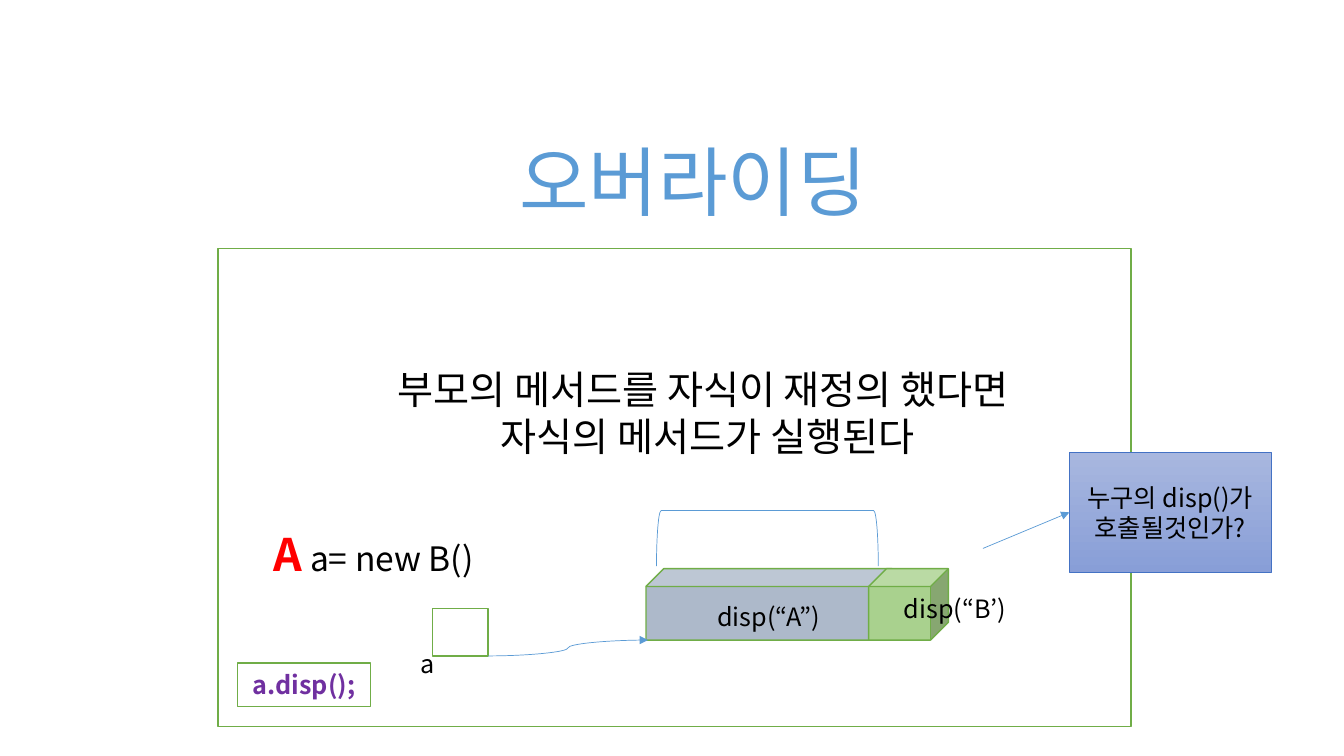
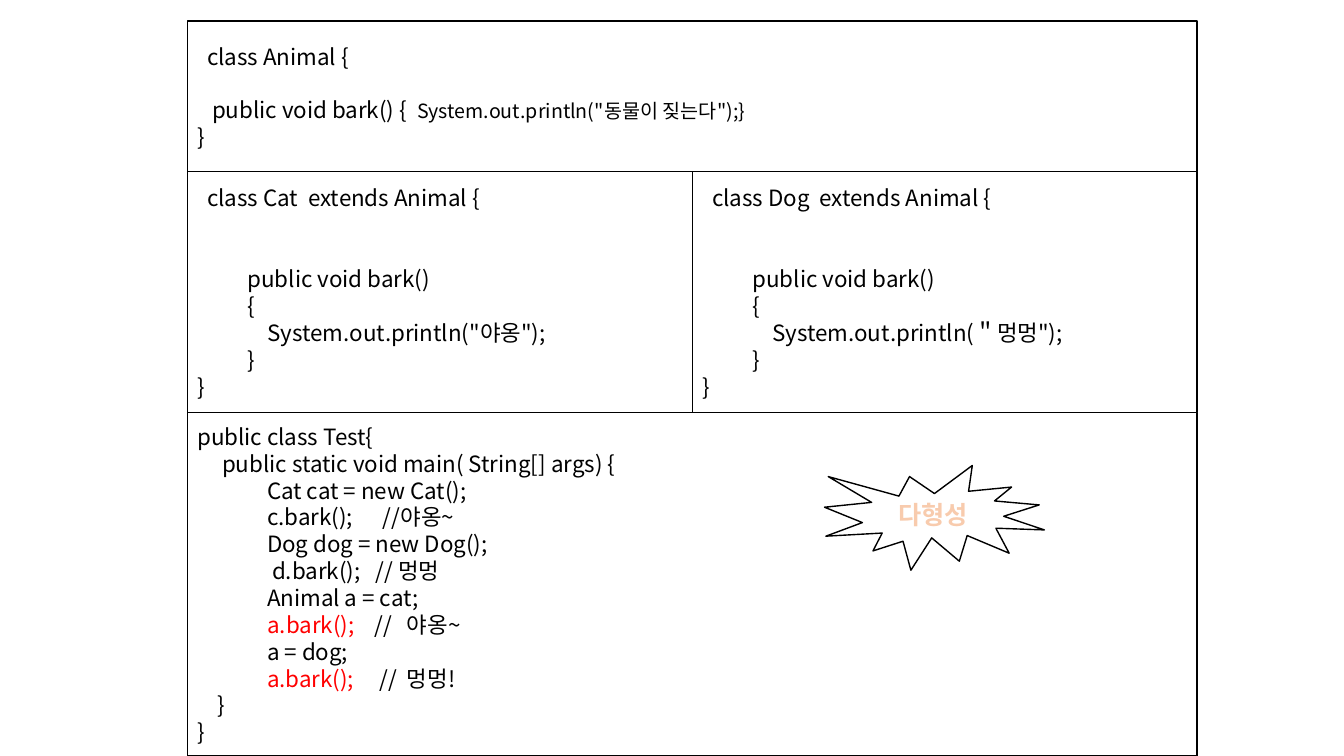
from dataclasses import dataclass
from typing import NamedTuple, Optional

from lxml.etree import SubElement
from pptx import Presentation
from pptx.dml.color import RGBColor
from pptx.enum.shapes import MSO_CONNECTOR as Connector, MSO_SHAPE as Preset
from pptx.enum.text import MSO_ANCHOR as Anchor, MSO_AUTO_SIZE as AutoSize, PP_ALIGN as Align
from pptx.oxml.ns import qn
from pptx.util import Cm, Pt


# Theme
@dataclass(frozen=True)
class Theme:
    font: str = "Noto Sans CJK KR"
    black: str = "000000"
    white: str = "FFFFFF"
    red: str = "FF0000"
    purple: str = "7030A0"
    green: str = "70AD47"
    light_green: str = "A9D18E"
    grey: str = "ADB9CA"
    blue: str = "5B9BD5"
    dark_blue: str = "4472C4"
    question_top: str = "A8B7DF"
    question_bottom: str = "889ED7"
    peach: str = "F8CBAD"
    orange: str = "ED7D31"
    title: float = 54
    keyword: float = 32
    statement: float = 28
    declaration: float = 24
    label: float = 18
    code: float = 16
    small_code: float = 14
    line: float = 1
    thin: float = 0.5


THEME = Theme()


class Place(NamedTuple):
    """Left, top, width and height in centimetres."""
    left: float
    top: float
    width: float
    height: float

    def lengths(self) -> list:
        return [Cm(value) for value in self]


class Span(NamedTuple):
    text: str
    color: Optional[str] = None
    size: Optional[float] = None
    bold: Optional[bool] = None


class Line(NamedTuple):
    """A paragraph; blank counts the empty line heights above it."""
    spans: list
    level: int = 0
    blank: int = 0


@dataclass(frozen=True)
class TextStyle:
    size: float
    color: str = THEME.black
    bold: bool = False
    align: Align = Align.LEFT


LABEL = TextStyle(THEME.label)
CENTRED_LABEL = TextStyle(THEME.label, align=Align.CENTER)
CODE = TextStyle(THEME.code)


@dataclass(frozen=True)
class Figure:
    preset: Preset
    place: Place
    fill: Optional[str] = THEME.white
    outline: str = THEME.green
    weight: float = THEME.line
    rotation: float = 0


def code(text: str, level: int = 0, blank: int = 0) -> Line:
    return Line([Span(text)], level, blank)


# Text
def style_paragraph(para, style: TextStyle) -> None:
    para.alignment = style.align
    font = para.font
    font.name, font.size, font.bold = THEME.font, Pt(style.size), style.bold
    font.color.rgb = RGBColor.from_string(style.color)
    defaults = para._p.pPr.find(qn("a:defRPr"))
    SubElement(defaults, qn("a:ea"), typeface=THEME.font)


def write(frame, lines: list, style: TextStyle, wrap: bool = True) -> None:
    frame.word_wrap = wrap
    for index, line in enumerate(lines):
        para = frame.add_paragraph() if index else frame.paragraphs[0]
        if line.level:
            para.level = line.level
            para._p.get_or_add_pPr().set("marL", str(Cm(1.27 * line.level)))
        if line.blank:
            para.space_before = Pt(line.blank * style.size * 1.2)
        style_paragraph(para, style)
        for span in line.spans:
            run = para.add_run()
            run.text = span.text
            if span.color:
                run.font.color.rgb = RGBColor.from_string(span.color)
            if span.size:
                run.font.size = Pt(span.size)
            if span.bold is not None:
                run.font.bold = span.bold


def add_text(page, place: Place, lines: list, style: TextStyle, wrap: bool = True) -> None:
    box = page.shapes.add_textbox(*place.lengths())
    write(box.text_frame, lines, style, wrap)


def outline_text(run, color: str, weight: float) -> None:
    properties = run.font._element if hasattr(run.font, "_element") else run._r.get_or_add_rPr()
    line = SubElement(properties, qn("a:ln"), w=str(Pt(weight)))
    SubElement(SubElement(line, qn("a:solidFill")), qn("a:srgbClr"), val=color)
    properties.insert(0, line)


# Shapes and lines
def add_figure(page, figure: Figure):
    shape = page.shapes.add_shape(figure.preset, *figure.place.lengths())
    shape.shadow.inherit = False
    shape.rotation = figure.rotation
    if figure.fill:
        shape.fill.solid()
        shape.fill.fore_color.rgb = RGBColor.from_string(figure.fill)
    else:
        shape.fill.background()
    shape.line.color.rgb = RGBColor.from_string(figure.outline)
    shape.line.width = Pt(figure.weight)
    return shape


def add_arrow(page, kind: Connector, start: tuple, end: tuple):
    arrow = page.shapes.add_connector(kind, *[Cm(value) for value in start + end])
    arrow.line.color.rgb = RGBColor.from_string(THEME.blue)
    arrow.line.width = Pt(THEME.thin)
    SubElement(arrow.line._get_or_add_ln(), qn("a:tailEnd"), type="triangle")
    SubElement(arrow._element.spPr, qn("a:effectLst"))
    return arrow


# Slide 1: overriding
def build_overriding(deck) -> None:
    page = deck.slides.add_slide(deck.slide_layouts[5])
    title = page.shapes.title
    title.left, title.top, title.width, title.height = Place(12.4, 3.25, 10.13, 2.57).lengths()
    title.text_frame.auto_size = AutoSize.NONE
    title.text_frame.vertical_anchor = Anchor.MIDDLE
    write(title.text_frame, [code("오버라이딩")],
          TextStyle(THEME.title, THEME.blue, align=Align.CENTER), wrap=False)

    # Frame, object memory and variable
    for figure in (
        Figure(Preset.RECTANGLE, Place(5.49, 6.27, 23.01, 12.04)),
        Figure(Preset.CUBE, Place(16.28, 14.33, 6.2, 1.8), THEME.grey),
        Figure(Preset.CUBE, Place(21.89, 14.33, 2.01, 1.8), THEME.light_green),
        Figure(Preset.RIGHT_BRACKET, Place(18.64, 10.77, 1.4, 5.59), None,
               THEME.blue, THEME.thin, 270),
        Figure(Preset.RECTANGLE, Place(10.9, 15.34, 1.4, 1.19)),
    ):
        add_figure(page, figure)
    add_arrow(page, Connector.CURVE, (12.3, 16.53), (16.33, 16.13))

    # Statement, declaration and labels
    add_text(page, Place(8.76, 9.09, 18.14, 3.84),
             [code("부모의 메서드를 자식이 재정의 했다면 "), code("자식의 메서드가 실행된다")],
             TextStyle(THEME.statement, align=Align.CENTER), wrap=False)
    add_text(page, Place(6.65, 13.16, 8.2, 1.63),
             [Line([Span("A", THEME.red, THEME.keyword, True), Span(" a= new B()")])],
             TextStyle(THEME.declaration))
    for text, place in (
        ("a", Place(10.34, 16.21, 1.4, 1.02)),
        ("disp(“A”)", Place(17.83, 15.04, 3.58, 1.02)),
        ("disp(“B’)", Place(22.53, 14.83, 3.58, 1.02)),
    ):
        add_text(page, place, [code(text)], LABEL)

    # Method call and question
    call = add_figure(page, Figure(Preset.RECTANGLE, Place(5.99, 16.71, 3.35, 1.09)))
    write(call.text_frame, [code("a.disp();")],
          TextStyle(THEME.label, THEME.purple, True, Align.CENTER))
    question = add_figure(page, Figure(Preset.RECTANGLE, Place(26.95, 11.4, 5.08, 3.02),
                                       outline=THEME.dark_blue, weight=THEME.thin))
    question.fill.gradient()
    question.fill.gradient_angle = 270
    for stop, color in zip(question.fill.gradient_stops,
                           (THEME.question_top, THEME.question_bottom)):
        stop.color.rgb = RGBColor.from_string(color)
    write(question.text_frame, [code("누구의 disp()가 호출될것인가?")], CENTRED_LABEL)
    pointer = add_arrow(page, Connector.STRAIGHT, (24.77, 13.82), (26.95, 12.91))
    pointer.end_connect(question, 1)


# Slide 2: polymorphism code
def subclass_code(name: str, statement: str) -> list:
    return [
        code(f"  class {name}  extends Animal {{"),
        code("public void bark()", 1, blank=2),
        code("{", 1),
        code(f"    {statement}", 1),
        code("}", 1),
        code("}"),
    ]


ANIMAL_CODE = [
    code("  class Animal {"),
    Line([Span("   public void bark() {  "),
          Span('System.out.println("동물이 짖는다");}', size=THEME.small_code)], blank=1),
    code("}"),
]
INDENT = " " * 14
TEST_CODE = [
    code("public class Test{"),
    code("     public static void main( String[] args) {"),
    code(INDENT + "Cat cat = new Cat();"),
    code(INDENT + "c.bark();      //야옹~"),
    code(INDENT + "Dog dog = new Dog();"),
    code(INDENT + " d.bark();   // 멍멍"),
    code(INDENT + "Animal a = cat;"),
    Line([Span(INDENT), Span("a.bark();    ", THEME.red), Span("//   야옹~")]),
    code(INDENT + "a = dog;"),
    Line([Span(INDENT + "a.bark();     ", THEME.red), Span("//  멍멍!")]),
    code("    }"),
    code("}"),
]


def build_polymorphism(deck) -> None:
    page = deck.slides.add_slide(deck.slide_layouts[6])
    left, width = 4.72, 25.45
    half = width / 2

    # Code panels
    for place, lines in (
        (Place(left, 0.53, width, 3.8), ANIMAL_CODE),
        (Place(left, 4.33, half, 6.06), subclass_code("Cat", 'System.out.println("야옹");')),
        (Place(left + half, 4.33, half, 6.06),
         subclass_code("Dog", 'System.out.println(＂멍멍");')),
        (Place(left, 10.39, width, 8.66), TEST_CODE),
    ):
        panel = add_figure(page, Figure(Preset.RECTANGLE, place, outline=THEME.black))
        write(panel.text_frame, lines, CODE)

    # Topic burst
    burst = add_figure(page, Figure(Preset.EXPLOSION1, Place(20.78, 11.73, 5.54, 2.64),
                                    outline=THEME.black))
    write(burst.text_frame, [code("다형성")],
          TextStyle(THEME.label, THEME.peach, True, Align.CENTER))
    outline_text(burst.text_frame.paragraphs[0].runs[0], THEME.orange, 1.75)


def main() -> None:
    deck = Presentation()
    deck.slide_width, deck.slide_height = Cm(33.87), Cm(19.05)
    build_overriding(deck)
    build_polymorphism(deck)
    deck.save("out.pptx")


if __name__ == "__main__":
    main()
